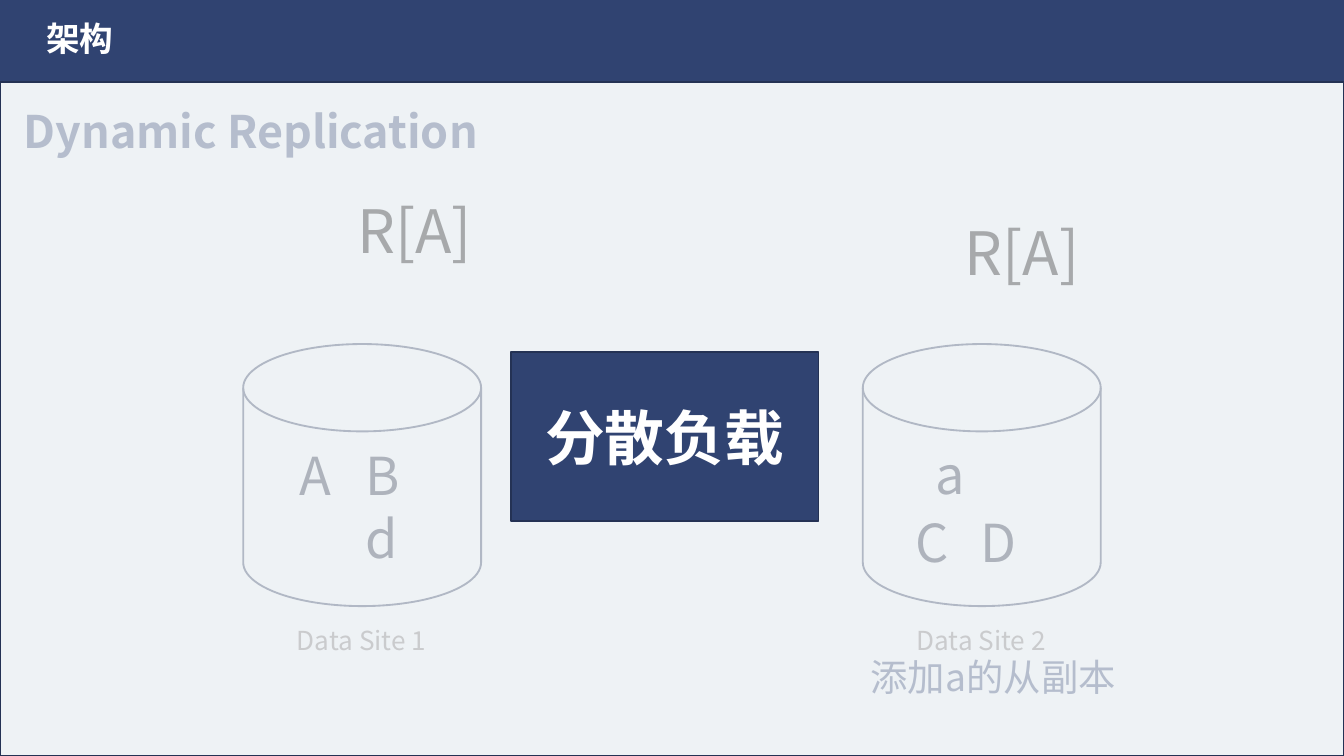
from lxml import etree
from pptx import Presentation
from pptx.dml.color import RGBColor
from pptx.enum.shapes import MSO_SHAPE
from pptx.enum.text import MSO_ANCHOR, PP_ALIGN
from pptx.oxml.ns import qn
from pptx.util import Inches, Pt

CENTER, LEFT = PP_ALIGN.CENTER, PP_ALIGN.LEFT
TOP, MIDDLE = MSO_ANCHOR.TOP, MSO_ANCHOR.MIDDLE
RECTANGLE = MSO_SHAPE.RECTANGLE
DISK = MSO_SHAPE.FLOWCHART_MAGNETIC_DISK

NAVY = RGBColor(0x30, 0x43, 0x71)
OUTLINE = RGBColor(0x24, 0x32, 0x54)
INK = RGBColor(0x18, 0x21, 0x38)
GRAY = RGBColor(0x76, 0x71, 0x71)
PALE = RGBColor(0xEE, 0xF2, 0xF5)
WHITE = RGBColor(0xFF, 0xFF, 0xFF)
BLACK = RGBColor(0x00, 0x00, 0x00)
FONT = "Noto Sans CJK SC"

# Square grid: 100 columns across the slide, rows of the same size
WIDTH = Inches(10)
HEIGHT = WIDTH * 9 // 16
CELL = WIDTH // 100
ROWS = HEIGHT / CELL
BAND_ROWS = 6.1
SITE_COLUMNS = (18.1, 64.2)
TAB = 4.9


def write(shape, text, size, color, bold=False, align=CENTER, anchor=TOP, wrap=False):
    frame = shape.text_frame
    frame.text = text
    frame.word_wrap = wrap
    frame.vertical_anchor = anchor
    for paragraph in frame.paragraphs:
        paragraph.alignment = align
        if "\t" in text:
            tabs = etree.SubElement(paragraph._p.get_or_add_pPr(), qn("a:tabLst"))
            etree.SubElement(tabs, qn("a:tab"), pos=str(int(TAB * CELL)), algn="l")
        for span in paragraph.runs:
            span.font.name = FONT
            span.font.size = Pt(size)
            span.font.bold = bold
            span.font.color.rgb = color
            east_asian = etree.SubElement(span._r.get_or_add_rPr(), qn("a:ea"))
            east_asian.set("typeface", FONT)


def draw(kind, left, top, width, height, fill=None, line=OUTLINE):
    shape = page.shapes.add_shape(
        kind, *(int(cells * CELL) for cells in (left, top, width, height)))
    shape.shadow.inherit = False
    if fill is None:
        shape.fill.background()
    else:
        shape.fill.solid()
        shape.fill.fore_color.rgb = fill
    if line is None:
        shape.line.fill.background()
    else:
        shape.line.color.rgb = line
        shape.line.width = Pt(1)
    return shape


deck = Presentation()
deck.slide_width, deck.slide_height = WIDTH, HEIGHT
page = deck.slides.add_slide(deck.slide_layouts[5])
page.background.fill.solid()
page.background.fill.fore_color.rgb = PALE

# Header band with the title in front of it
band = draw(RECTANGLE, 0, 0, 100, BAND_ROWS, NAVY, None)
title = page.shapes.title
band._element.addnext(title._element)
title.left, title.top = int(2.4 * CELL), int(0.8 * CELL)
title.width, title.height = int(7.1 * CELL), 4 * CELL
write(title, "架构", 18, WHITE, bold=True)

# Data sites
for column in SITE_COLUMNS:
    draw(DISK, column, 25.6, 17.7, 19.5)

# Labels: text, left, top, width, height, size, colour, bold, alignment, wrap
labels = [
    ("Dynamic Replication", 0.3, 7.2, 36.7, 5, 24, NAVY, True, CENTER, False),
    ("A\tB\n\td", 21.3, 32.5, 11.5, 10.4, 28, INK, False, LEFT, False),
    ("C\tD", 67.1, 37.5, 11.1, 5.7, 28, INK, False, LEFT, False),
    ("a", 68.6, 32.4, 4, 5.7, 28, INK, False, LEFT, False),
    ("R[A]", 25.3, 13.9, 11.1, 6.4, 32, BLACK, False, CENTER, False),
    ("R[A]", 70.5, 15.6, 11.1, 6.4, 32, BLACK, False, CENTER, False),
    ("添加a的从副本", 63.3, 48.2, 21.2, 4.4, 20, NAVY, False, CENTER, True),
]
for number, column in enumerate(SITE_COLUMNS, start=1):
    labels.append((f"Data Site {number}", column + 2.7, 46, 12.2, 3.4,
                   14, GRAY, False, CENTER, False))
for text, left, top, width, height, size, color, bold, align, wrap in labels:
    box = page.shapes.add_textbox(
        *(int(cells * CELL) for cells in (left, top, width, height)))
    write(box, text, size, color, bold, align, wrap=wrap)

# Translucent veil over the diagram
veil = draw(RECTANGLE, 0, BAND_ROWS, 100, ROWS - BAND_ROWS, PALE)
veil_color = veil._element.spPr.find(qn("a:solidFill"))[0]
etree.SubElement(veil_color, qn("a:alpha"), val="70000")

# Key message
message = draw(RECTANGLE, 38, 26.2, 22.9, 12.6, NAVY)
write(message, "分散负载", 32, WHITE, bold=True, anchor=MIDDLE, wrap=True)

deck.save("out.pptx")
